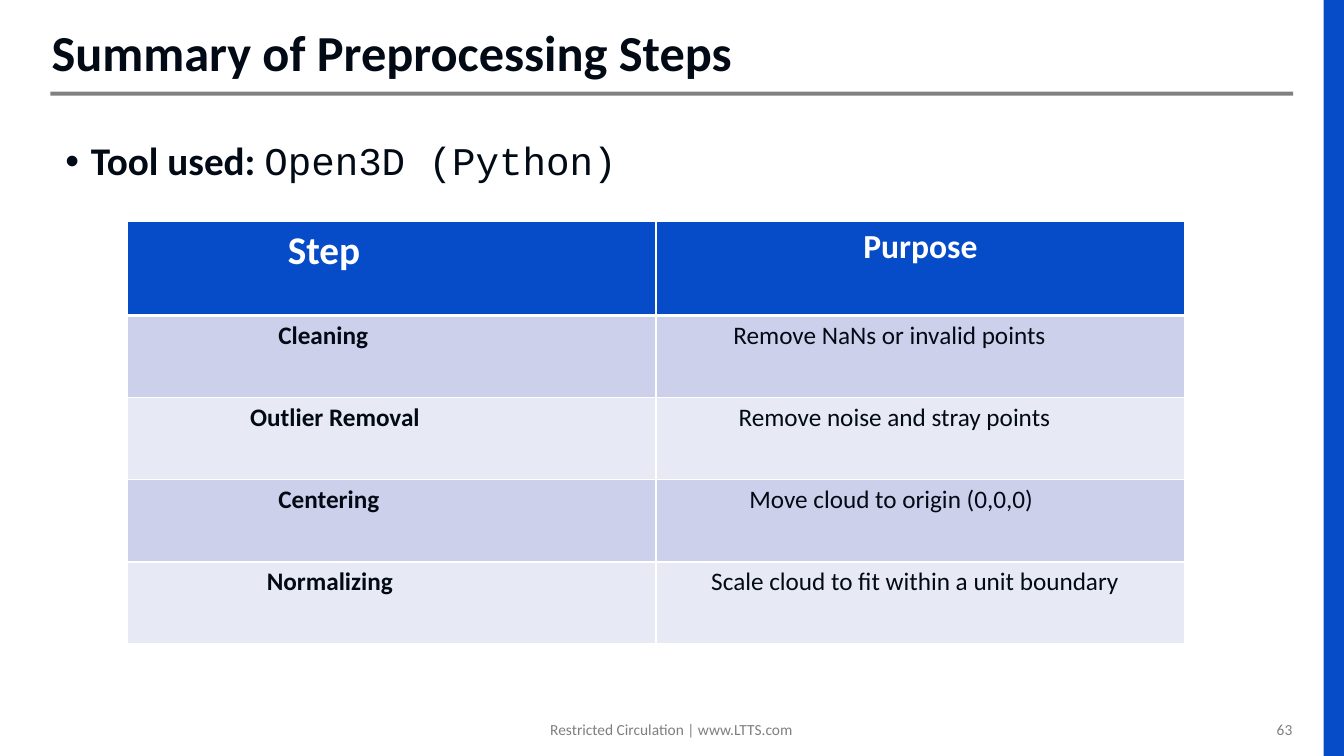
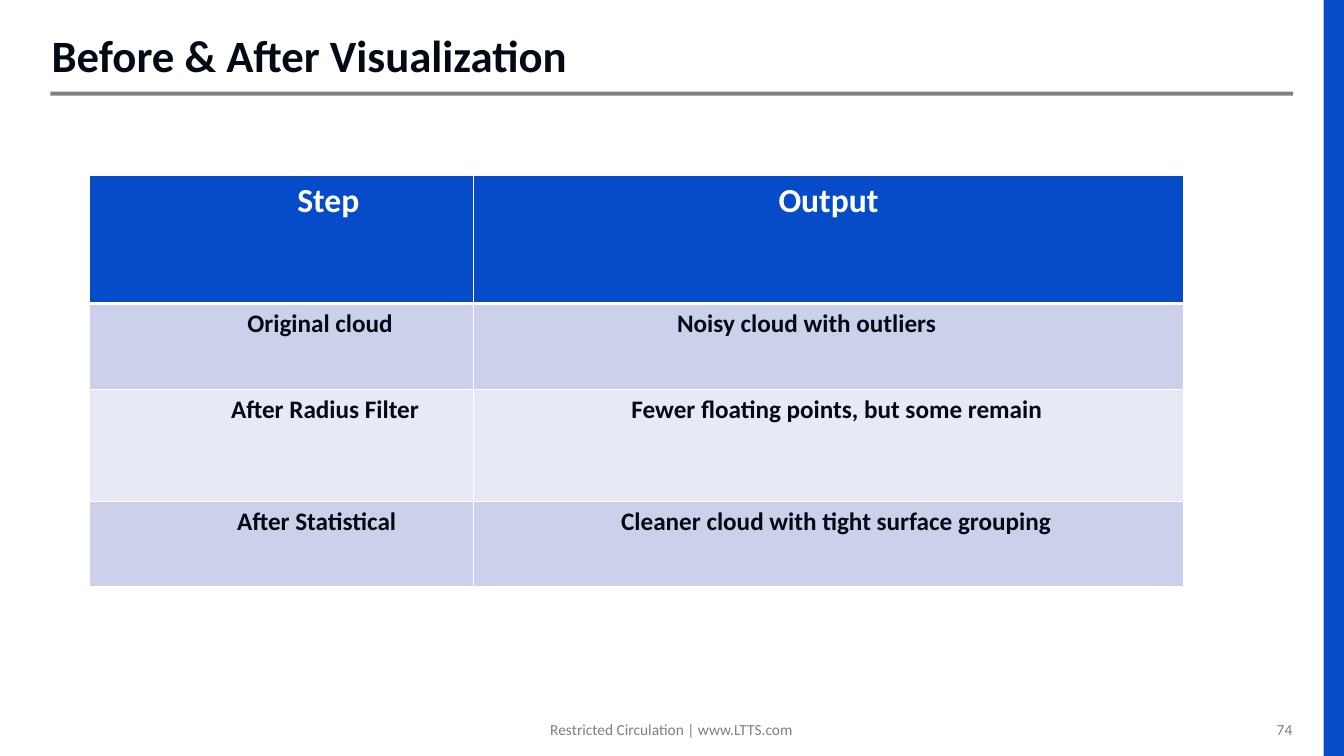
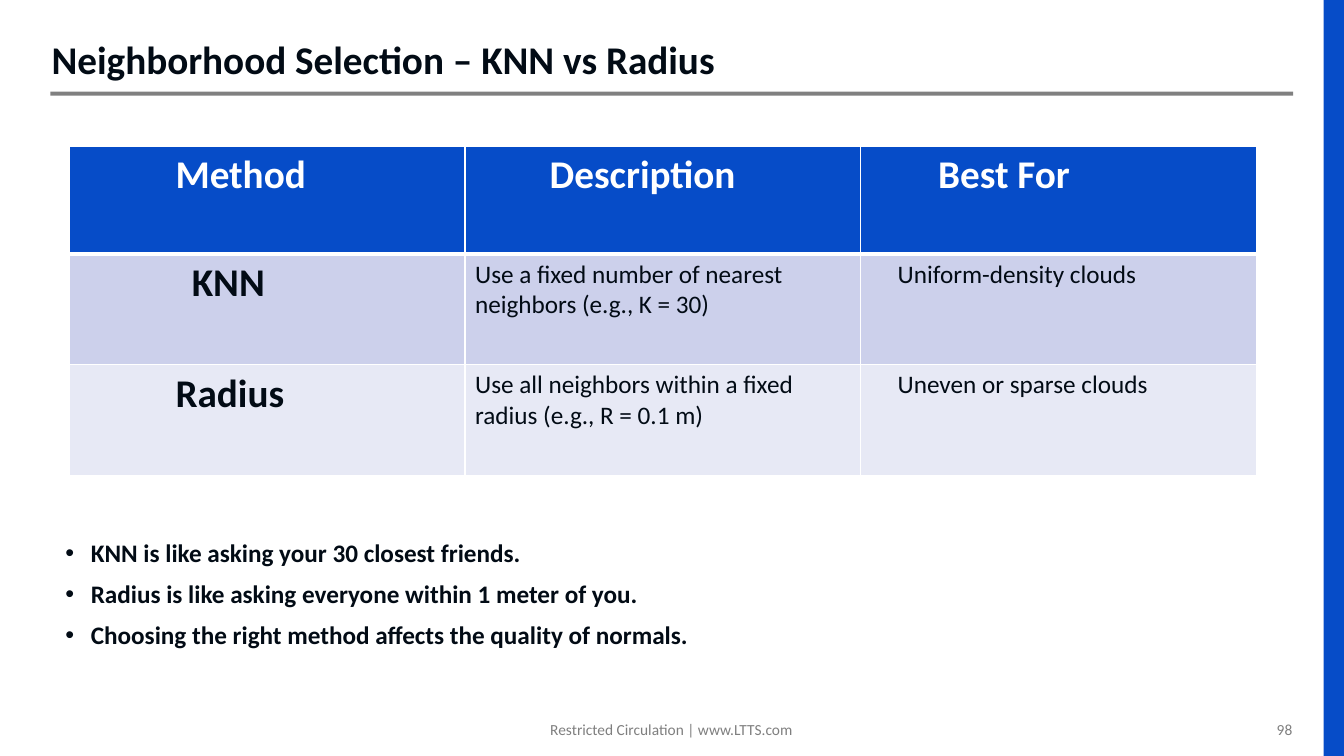
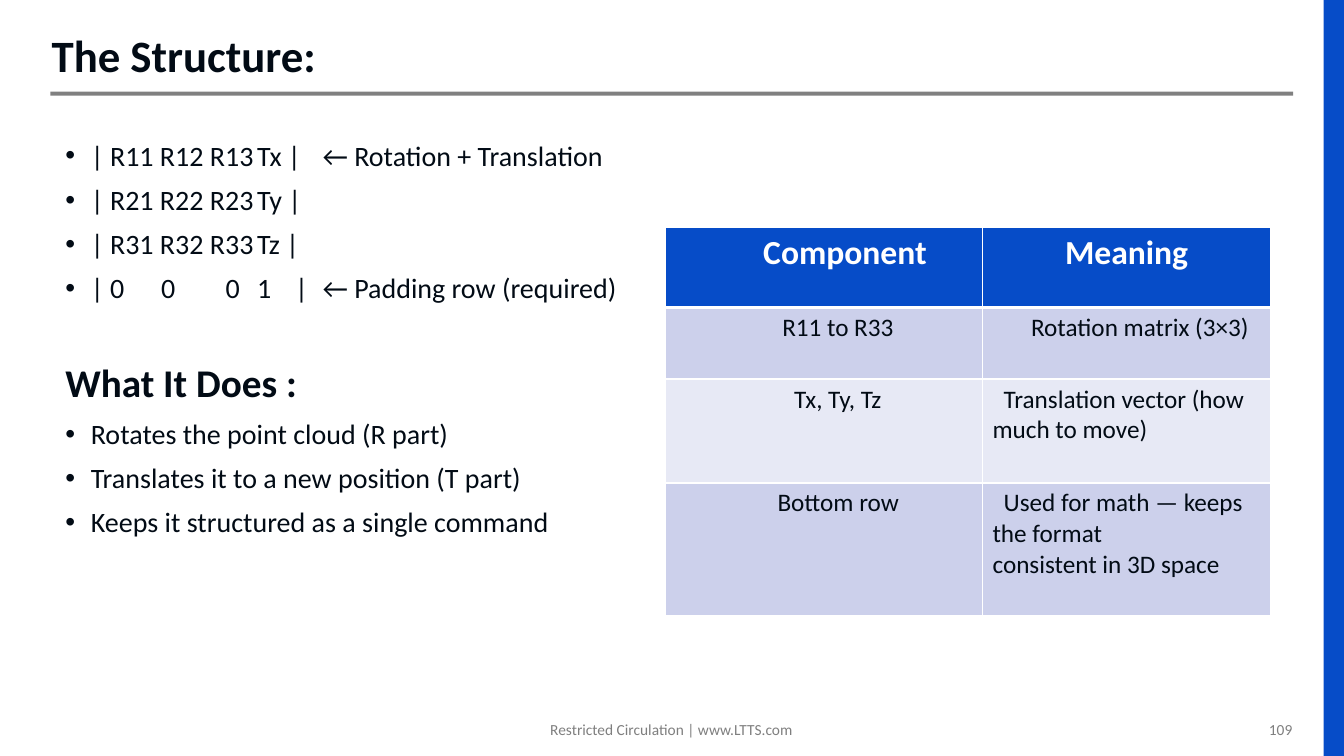
from pptx import Presentation
from pptx.dml.color import RGBColor
from pptx.enum.shapes import MSO_SHAPE
from pptx.enum.text import MSO_ANCHOR, MSO_AUTO_SIZE, PP_ALIGN
from pptx.oxml.ns import qn
from pptx.util import Cm, Pt
from lxml import etree

RECTANGLE = MSO_SHAPE.RECTANGLE
BOTTOM = MSO_ANCHOR.BOTTOM
NO_AUTOFIT = MSO_AUTO_SIZE.NONE
LEFT, CENTER, RIGHT = PP_ALIGN.LEFT, PP_ALIGN.CENTER, PP_ALIGN.RIGHT

COLORS = {
    "ink": "020B15",
    "blue": "064CC8",
    "rule": "808080",
    "footer": "7F7F7F",
    "white": "FFFFFF",
    "band_dark": "CCD0EB",
    "band_light": "E7E9F5",
}
FONT = "Calibri"
CODE_FONT = "Courier New"
FOOTER = "Restricted Circulation | www.LTTS.com"
BULLET_INDENT = 0.64
MATRIX_TABS = (4.83, 6.48)
PADDING_TABS = (2.41, 4.04, 4.83, 5.79, 6.48)


class Deck:
    def __init__(self):
        self.prs = Presentation()
        self.prs.slide_width, self.prs.slide_height = Cm(33.87), Cm(19.05)
        self.slide = None

    def add_slide(self, title, size, number):
        self.slide = self.prs.slides.add_slide(self.prs.slide_layouts[5])
        self.box(31.12, 18.01, 1.7, 0.74)
        self.line(str(number), 11, "footer", align=RIGHT)
        self.box(13.56, 18.03, 6.73, 0.74, wrap=False)
        self.line(FOOTER, 11, "footer", align=CENTER)
        self.bar(1.27, 2.31, 31.32, 0.1, "rule")
        self.bar(33.36, 0, 0.51, 19.05, "blue")
        heading = self.slide.shapes.title
        heading.left, heading.top = Cm(1.3), Cm(0.69)
        heading.width, heading.height = Cm(31.32), Cm(1.52)
        frame = heading.text_frame
        frame.auto_size = NO_AUTOFIT
        frame.word_wrap = True
        frame.vertical_anchor = BOTTOM
        frame.margin_left = frame.margin_right = 0
        frame.margin_top = frame.margin_bottom = Cm(0.13)
        paragraph = frame.paragraphs[0]
        paragraph.alignment = LEFT
        paragraph.line_spacing = 0.9
        self.run(paragraph, title, size, bold=True)

    def bar(self, left, top, width, height, color):
        bar = self.slide.shapes.add_shape(
            RECTANGLE, Cm(left), Cm(top), Cm(width), Cm(height))
        bar.shadow.inherit = False
        bar.fill.solid()
        bar.fill.fore_color.rgb = RGBColor.from_string(COLORS[color])
        bar.line.fill.background()

    def box(self, left, top, width, height, wrap=True):
        box = self.slide.shapes.add_textbox(
            Cm(left), Cm(top), Cm(width), Cm(height))
        self.frame = box.text_frame
        self.frame.word_wrap = wrap
        self.fresh = True

    def paragraph(self, before=0):
        if self.fresh:
            self.fresh = False
            return self.frame.paragraphs[0]
        paragraph = self.frame.add_paragraph()
        paragraph.space_before = Pt(before)
        return paragraph

    def line(self, text, size, color="ink", bold=False, align=LEFT, before=0):
        paragraph = self.paragraph(before)
        paragraph.alignment = align
        paragraph.line_spacing = 0.9 if color == "ink" else 1.0
        self.run(paragraph, text, size, color, bold)

    def bullet(self, text, size, bold=False, tabs=()):
        paragraph = self.paragraph(10)
        paragraph.line_spacing = 0.9
        properties = paragraph._p.get_or_add_pPr()
        properties.set("marL", str(Cm(BULLET_INDENT)))
        properties.set("indent", str(-Cm(BULLET_INDENT)))
        etree.SubElement(properties, qn("a:buFont"), typeface="Arial")
        etree.SubElement(properties, qn("a:buChar"), char="•")
        if tabs:
            stops = etree.SubElement(properties, qn("a:tabLst"))
            for position in tabs:
                etree.SubElement(stops, qn("a:tab"), pos=str(Cm(position)), algn="l")
        self.run(paragraph, text, size, bold=bold)
        return paragraph

    def run(self, paragraph, text, size, color="ink", bold=False, font=FONT):
        run = paragraph.add_run()
        run.text = text
        run.font.name = font
        run.font.size = Pt(size)
        run.font.bold = bold
        run.font.color.rgb = RGBColor.from_string(COLORS[color])

    def table(self, left, top, widths, heights, rows, header_sizes, body_styles):
        table = self.slide.shapes.add_table(
            len(heights), len(widths), Cm(left), Cm(top),
            Cm(sum(widths)), Cm(sum(heights))).table
        for column, width in zip(table.columns, widths):
            column.width = Cm(width)
        for index, (height, cells) in enumerate(zip(heights, rows)):
            table.rows[index].height = Cm(height)
            for position, (text, indent) in enumerate(cells):
                cell = table.cell(index, position)
                if index == 0:
                    fill, color = "blue", "white"
                    size, bold = header_sizes[position], True
                else:
                    fill = "band_dark" if index % 2 else "band_light"
                    color = "ink"
                    size, bold = body_styles[position]
                self.borders(cell, index)
                cell.fill.solid()
                cell.fill.fore_color.rgb = RGBColor.from_string(COLORS[fill])
                paragraph = cell.text_frame.paragraphs[0]
                if indent is None:
                    paragraph.alignment = CENTER
                else:
                    properties = paragraph._p.get_or_add_pPr()
                    properties.set("marL", "0")
                    properties.set("indent", str(Cm(indent)))
                for number, part in enumerate(text.split("\n")):
                    if number:
                        paragraph.add_line_break()
                    self.run(paragraph, part, size, color, bold)

    def borders(self, cell, row):
        properties = cell._tc.get_or_add_tcPr()
        for side in "LRTB":
            thick = (row, side) in ((0, "B"), (1, "T"))
            border = etree.SubElement(
                properties, qn("a:ln" + side), w=str(Pt(3 if thick else 1)))
            fill = etree.SubElement(border, qn("a:solidFill"))
            etree.SubElement(fill, qn("a:srgbClr"), val=COLORS["white"])


def preprocessing(deck):
    deck.add_slide("Summary of Preprocessing Steps", 36, 63)
    deck.box(1.4, 3.45, 31.22, 13.16)
    tool = deck.bullet("Tool used: ", 28, bold=True)
    deck.run(tool, "Open3D (Python)", 28, font=CODE_FONT)
    deck.table(
        3.2, 5.59, [13.33] * 2, [2.36] + [2.07] * 4,
        [
            [("Step", 3.8), ("Purpose", None)],
            [("Cleaning", 3.56), ("Remove NaNs or invalid points", 1.7)],
            [("Outlier Removal", 2.85), ("Remove noise and stray points", 1.83)],
            [("Centering", 3.56), ("Move cloud to origin (0,0,0)", 2.1)],
            [("Normalizing", 3.27), ("Scale cloud to fit within a unit boundary", 1.14)],
        ],
        (28, 24), ((18, True), (18, False)))


def visualization(deck):
    deck.add_slide("Before & After Visualization", 32, 74)
    deck.table(
        2.26, 4.42, [9.68, 17.88], [3.23, 2.16, 2.82, 2.16],
        [
            [("Step", 4.98), ("Output", None)],
            [("Original cloud", 3.72), ("Noisy cloud with outliers", 4.87)],
            [("After Radius Filter", 3.31), ("Fewer floating points, but some remain", 3.72)],
            [("After Statistical", 3.46), ("Cleaner cloud with tight surface grouping", 3.46)],
        ],
        (24, 24), ((18, True), (18, True)))


def neighborhood(deck):
    deck.add_slide("Neighborhood Selection – KNN vs Radius", 28, 98)
    deck.box(1.4, 13.5, 31.22, 3.1)
    for remark in (
        "KNN is like asking your 30 closest friends.",
        "Radius is like asking everyone within 1 meter of you.",
        "Choosing the right method affects the quality of normals.",
    ):
        deck.bullet(remark, 18, bold=True)
    deck.table(
        1.75, 3.68, [9.97] * 3, [2.72, 2.79, 2.79],
        [
            [("Method", 2.42), ("Description", 1.88), ("Best For", 1.7)],
            [("KNN", 2.83),
             ("Use a fixed number of nearest neighbors (e.g., K = 30)", 0),
             ("Uniform-density clouds", 0.68)],
            [("Radius", 2.42),
             ("Use all neighbors within a fixed radius (e.g., R = 0.1 m)", 0),
             ("Uneven or sparse clouds", 0.68)],
        ],
        (28, 28, 28), ((28, True), (18, False), (18, False)))


def structure(deck):
    deck.add_slide("The Structure:", 32, 109)
    deck.box(1.4, 3.45, 15.2, 13.16)
    for matrix_row, tabs in (
        ("| R11 R12 R13\tTx |\t← Rotation + Translation", MATRIX_TABS),
        ("| R21 R22 R23\tTy |", MATRIX_TABS),
        ("| R31 R32 R33\tTz |", MATRIX_TABS),
        ("| 0\t0\t0\t1\t|\t← Padding row (required)", PADDING_TABS),
    ):
        deck.bullet(matrix_row, 20, tabs=tabs)
    deck.line("What It Does :", 28, bold=True, before=42)
    for effect in (
        "Rotates the point cloud (R part)",
        "Translates it to a new position (T part)",
        "Keeps it structured as a single command",
    ):
        deck.bullet(effect, 20)
    deck.table(
        16.76, 5.74, [8, 7.26], [2.01, 1.8, 2.62, 3.35],
        [
            [("Component", 2.22), ("Meaning", None)],
            [("R11 to R33", 2.7), ("Rotation matrix (3×3)", 0.97)],
            [("Tx, Ty, Tz", 3), ("Translation vector (how much to move)", 0.28)],
            [("Bottom row", 2.58),
             ("Used for math — keeps the format\nconsistent in 3D space", 0.28)],
        ],
        (24, 24), ((18, False), (18, False)))


def main():
    deck = Deck()
    for build in (preprocessing, visualization, neighborhood, structure):
        build(deck)
    deck.prs.save("out.pptx")


if __name__ == "__main__":
    main()
